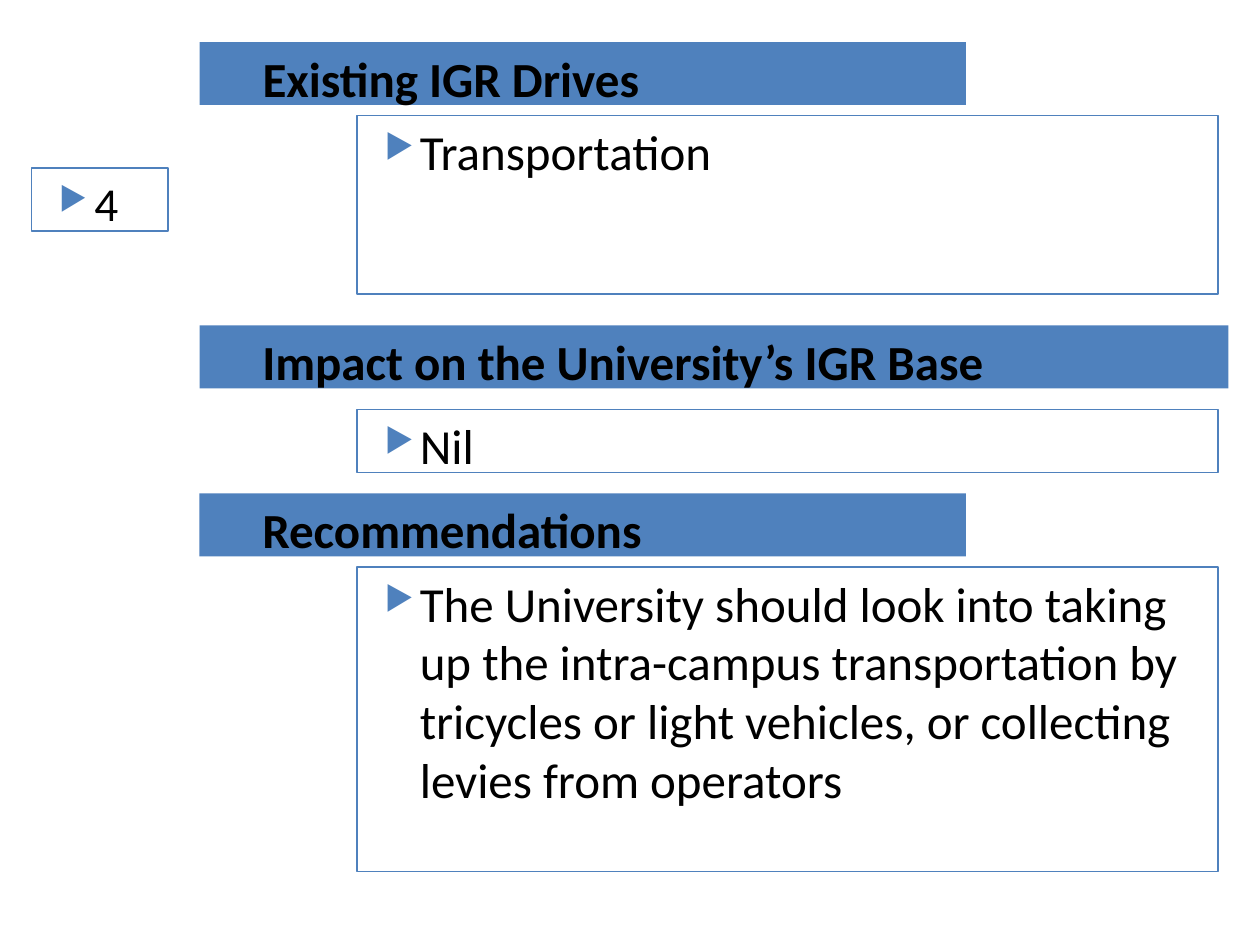
"""Builds the slide on transportation as a source of IGR."""
import pptx
import pptx.dml.color
import pptx.enum.shapes
import pptx.enum.text
import pptx.oxml
import pptx.oxml.ns
import pptx.util

Pt = pptx.util.Pt
BLUE = "4F81BD"
BLACK = "000000"
FONT = "Calibri"
TEXT_SIZE = 28
INDENT = 28.8
HANGING = 20.16
HEIGHT = 36
HEADING_LEFT = 114
BODY_LEFT = 204
BODY_WIDTH = 492


def color(value):
    return pptx.dml.color.RGBColor.from_string(value)


class SlideBuilder:
    def __init__(self, slide):
        self.slide = slide

    def rectangle(self, left, top, width, height):
        box = self.slide.shapes.add_shape(
            pptx.enum.shapes.MSO_SHAPE.RECTANGLE,
            Pt(left), Pt(top), Pt(width), Pt(height))
        box.shadow.inherit = False
        return box

    def set_text(self, box, text, size=TEXT_SIZE, bold=False, bullet=False):
        frame = box.text_frame
        frame.text = text
        frame.word_wrap = True
        frame.auto_size = pptx.enum.text.MSO_AUTO_SIZE.NONE
        frame.vertical_anchor = pptx.enum.text.MSO_ANCHOR.TOP
        para = frame.paragraphs[0]
        para.alignment = pptx.enum.text.PP_ALIGN.LEFT
        properties = para._p.get_or_add_pPr()
        properties.set("marL", str(Pt(INDENT)))
        properties.set("indent", str(-Pt(HANGING) if bullet else 0))
        if bullet:
            self.bullet(properties)
        font = para.runs[0].font
        font.name = FONT
        font.size = Pt(size)
        font.bold = bold
        font.color.rgb = color(BLACK)

    def bullet(self, properties):
        namespace = pptx.oxml.ns.nsdecls("a")
        for element in (
                f'<a:buClr {namespace}><a:srgbClr val="{BLUE}"/></a:buClr>',
                f'<a:buSzPct {namespace} val="68000"/>',
                f'<a:buChar {namespace} char="▶"/>'):
            properties.append(pptx.oxml.parse_xml(element))

    def title(self, text, top, width):
        box = self.slide.shapes.title
        box.left, box.top = Pt(HEADING_LEFT), Pt(top)
        box.width, box.height = Pt(width), Pt(HEIGHT)
        self.fill_heading(box, text)

    def heading(self, text, top, width):
        box = self.rectangle(HEADING_LEFT, top, width, HEIGHT)
        self.fill_heading(box, text)

    def fill_heading(self, box, text):
        box.fill.solid()
        box.fill.fore_color.rgb = color(BLUE)
        box.line.fill.background()
        self.set_text(box, text, bold=True)

    def body(self, text, top, height, left=BODY_LEFT, width=BODY_WIDTH,
             size=TEXT_SIZE):
        box = self.rectangle(left, top, width, height)
        box.fill.background()
        box.line.color.rgb = color(BLUE)
        box.line.width = Pt(0.75)
        self.set_text(box, text, size=size, bullet=True)


def main():
    deck = pptx.Presentation()
    deck.slide_width, deck.slide_height = Pt(720), Pt(540)
    builder = SlideBuilder(deck.slides.add_slide(deck.slide_layouts[5]))
    builder.title("Existing IGR Drives", 24, 438)
    builder.body("Transportation", 66, 102)
    builder.heading("Impact on the University’s IGR Base", 186, 588)
    builder.body("Nil", 234, HEIGHT)
    builder.heading("Recommendations", 282, 438)
    builder.body(
        "The University should look into taking up the intra-campus "
        "transportation by tricycles or light vehicles, or collecting "
        "levies from operators", 324, 174)
    builder.body("4", 96, HEIGHT, left=18, width=78, size=27)
    deck.save("out.pptx")


if __name__ == "__main__":
    main()
